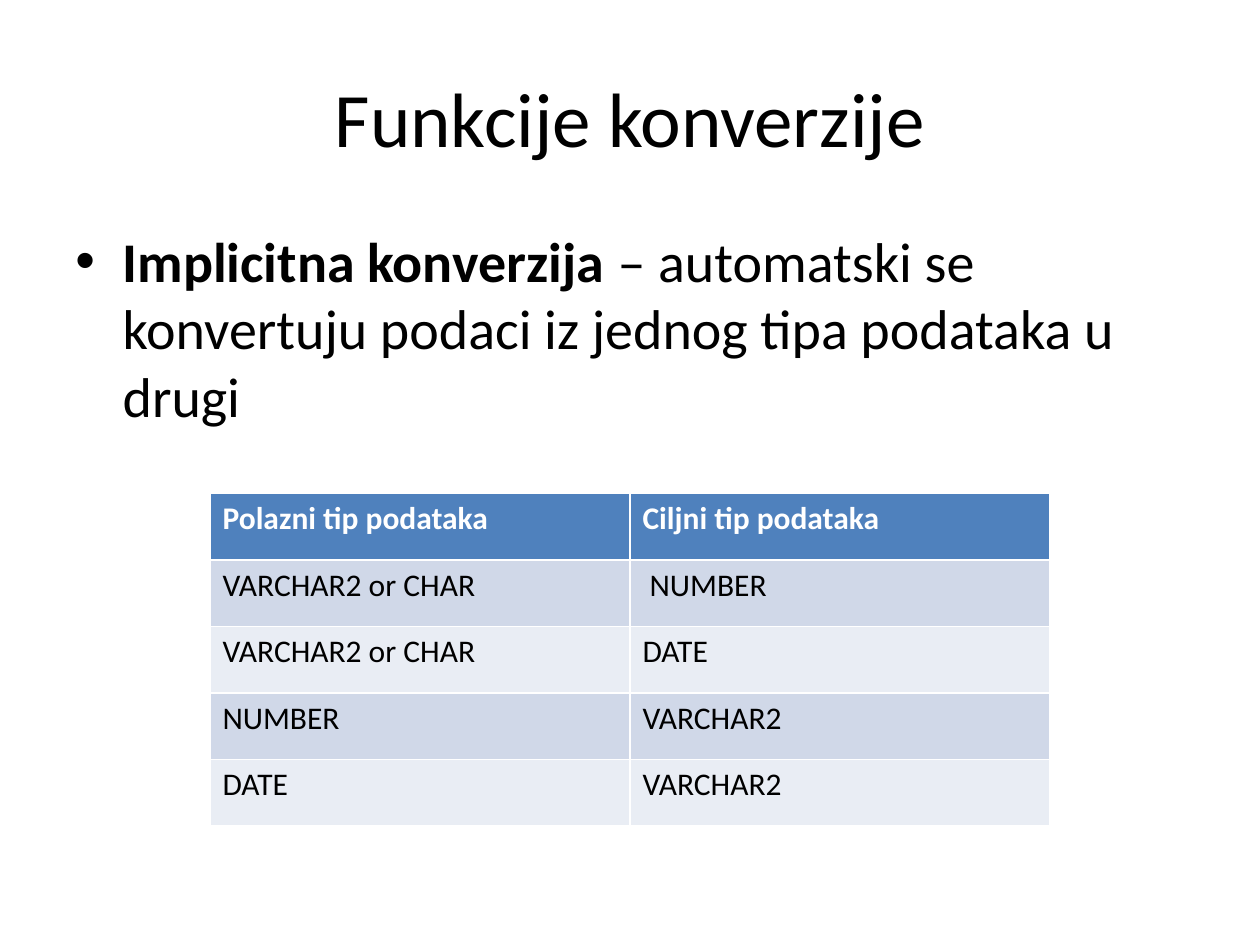
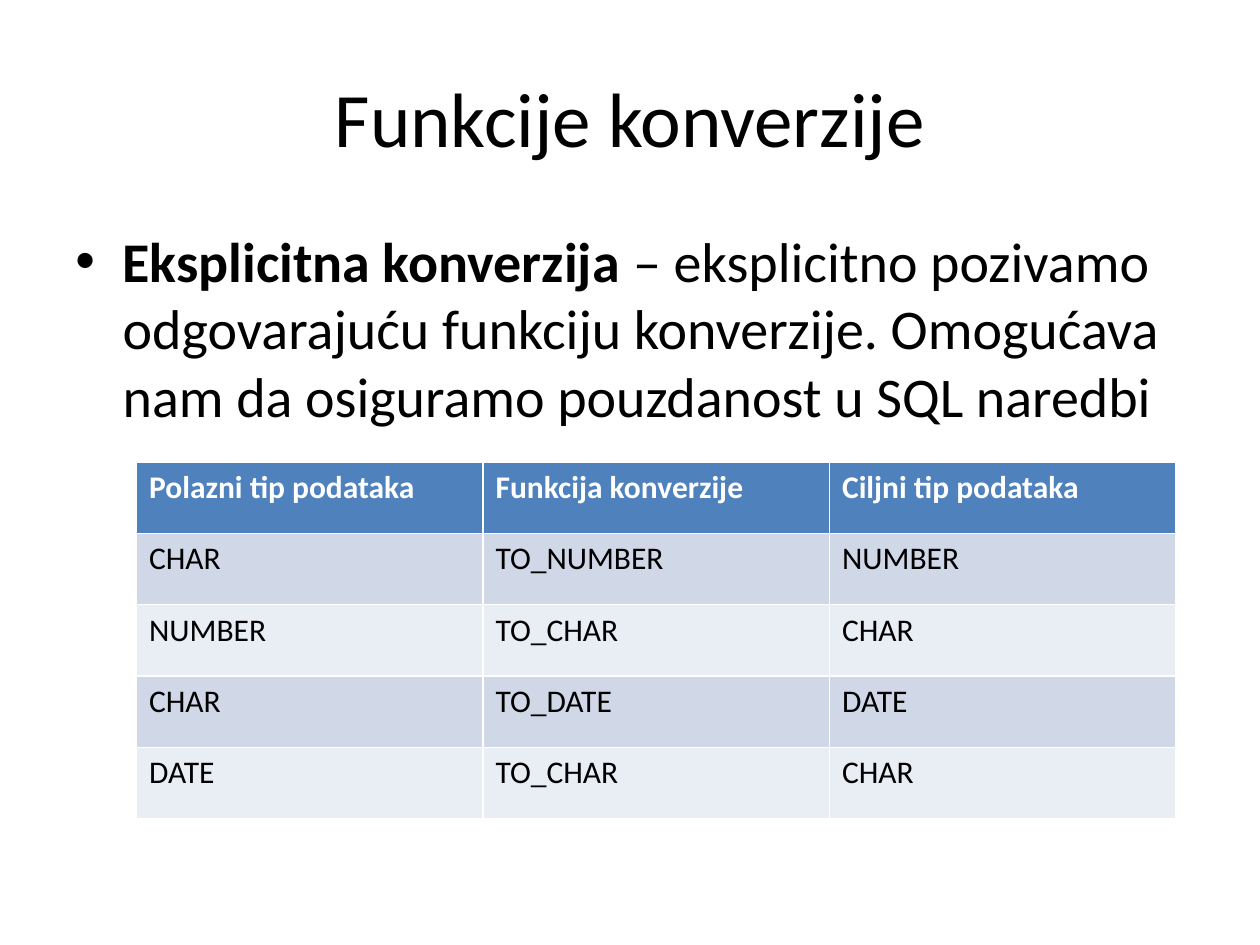
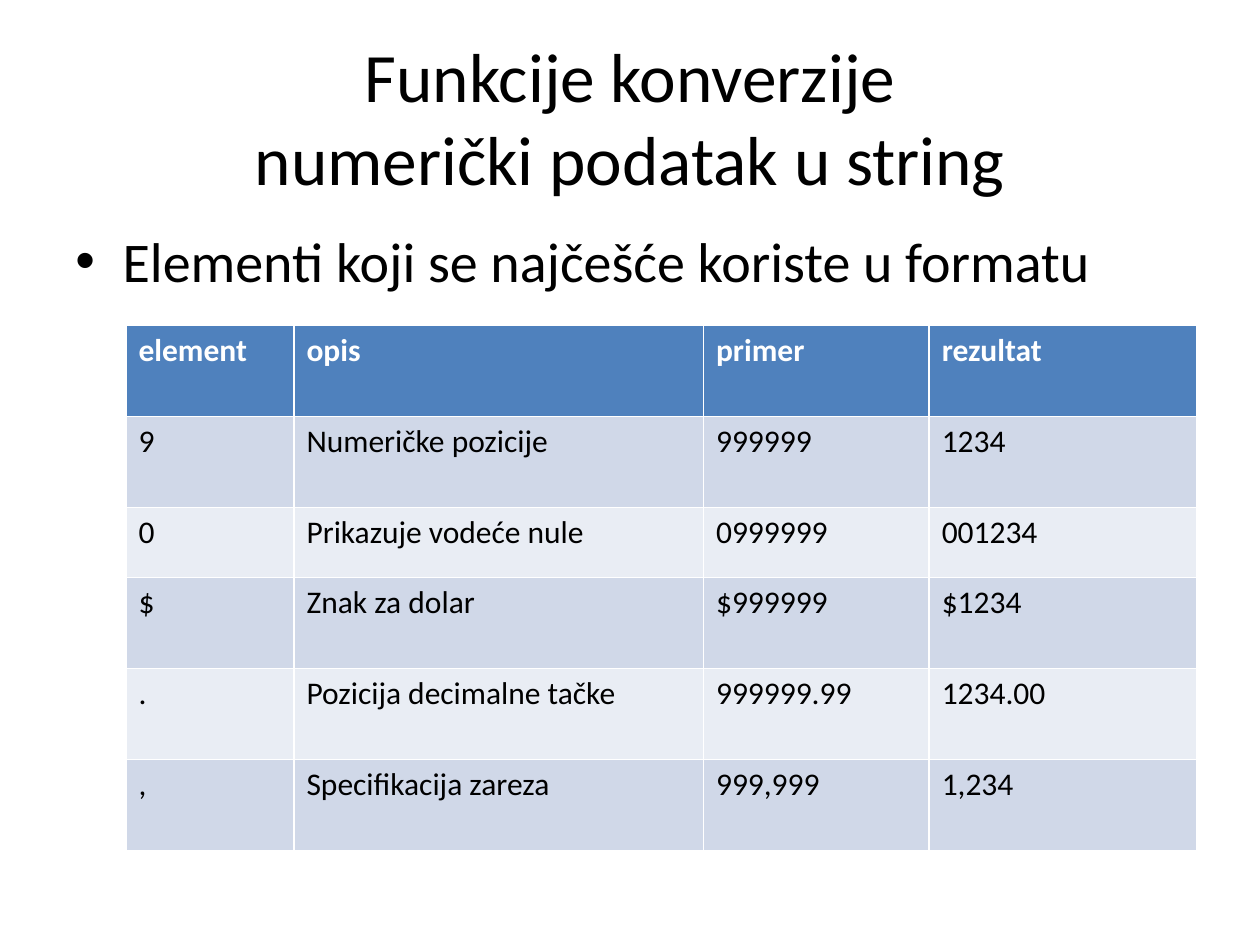
from lxml import etree
from pptx import Presentation
from pptx.dml.color import RGBColor
from pptx.enum import text
from pptx.oxml import ns
from pptx.util import Pt

COLORS = {"ink": "000000", "paper": "FFFFFF", "header": "4F81BD",
          "odd": "D0D8E8", "even": "E9EDF4"}
FONT = "Calibri"
TITLE_BOX = (36, 21.6, 648, 90)
BODY_BOX = (36, 126, 648, 356.4)
INDENT = 27


def rgb(name):
    return RGBColor.from_string(COLORS[name])


def style_run(r, size, color="ink", bold=False):
    r.font.name = FONT
    r.font.size = Pt(size)
    r.font.bold = bold
    r.font.color.rgb = rgb(color)


def add_title(s, box, title, size):
    sp = s.shapes.title
    sp.left, sp.top, sp.width, sp.height = map(Pt, box)
    tf = sp.text_frame
    tf.text = title
    tf.auto_size = text.MSO_AUTO_SIZE.NONE
    tf.vertical_anchor = text.MSO_ANCHOR.MIDDLE
    p = tf.paragraphs[0]
    p.alignment = text.PP_ALIGN.CENTER
    for r in p.runs:
        style_run(r, size)
    for br in p._p.findall(ns.qn("a:br")):
        etree.SubElement(br, ns.qn("a:rPr"), sz=str(round(size * 100)))


def add_bullet(s, box, term, explanation):
    tf = s.shapes.add_textbox(*map(Pt, box)).text_frame
    tf.word_wrap = True
    p = tf.paragraphs[0]
    p.space_before = Pt(6.4)
    pPr = p._p.get_or_add_pPr()
    pPr.set("marL", str(Pt(INDENT)))
    pPr.set("indent", str(-Pt(INDENT)))
    etree.SubElement(pPr, ns.qn("a:buFont"), typeface="Arial")
    etree.SubElement(pPr, ns.qn("a:buChar"), char="•")
    for words, bold in ((term, True), (explanation, False)):
        if words:
            r = p.add_run()
            r.text = words
            style_run(r, 32, bold=bold)


def add_type_table(s, left, top, widths, heights, rows):
    table = s.shapes.add_table(len(rows), len(widths), Pt(left), Pt(top),
                               Pt(sum(widths)), Pt(sum(heights))).table
    for column, width in zip(table.columns, widths):
        column.width = Pt(width)
    for i, (row, height, values) in enumerate(zip(table.rows, heights, rows)):
        row.height = Pt(height)
        fill = "header" if i == 0 else "odd" if i % 2 else "even"
        for cell, value in zip(row.cells, values):
            cell.fill.solid()
            cell.fill.fore_color.rgb = rgb(fill)
            cell.text = value
            style_run(cell.text_frame.paragraphs[0].runs[0], 18,
                      "ink" if i else "paper", i == 0)


def add_table_slide(prs, title, title_size, bullet, table):
    s = prs.slides.add_slide(prs.slide_layouts[5])
    add_title(s, TITLE_BOX, title, title_size)
    add_bullet(s, BODY_BOX, *bullet)
    add_type_table(s, *table)


def main():
    prs = Presentation()
    prs.slide_width, prs.slide_height = Pt(720), Pt(540)

    add_table_slide(
        prs, "Funkcije konverzije", 44,
        ("Implicitna konverzija ",
         "– automatski se konvertuju podaci iz jednog tipa podataka u drugi"),
        (120, 282, [240] * 2, [38] * 5, [
            ("Polazni tip podataka", "Ciljni tip podataka"),
            ("VARCHAR2 or CHAR", " NUMBER"),
            ("VARCHAR2 or CHAR", "DATE"),
            ("NUMBER", "VARCHAR2"),
            ("DATE", "VARCHAR2"),
        ]))

    add_table_slide(
        prs, "Funkcije konverzije", 44,
        ("Eksplicitna konverzija ",
         "– eksplicitno pozivamo odgovarajuću funkciju konverzije. "
         "Omogućava nam da osiguramo pouzdanost u SQL naredbi"),
        (78, 264, [198] * 3, [40.8] * 5, [
            ("Polazni tip podataka", "Funkcija konverzije", "Ciljni tip podataka"),
            ("CHAR", "TO_NUMBER", "NUMBER"),
            ("NUMBER", "TO_CHAR", "CHAR"),
            ("CHAR", "TO_DATE", "DATE"),
            ("DATE", "TO_CHAR", "CHAR"),
        ]))

    add_table_slide(
        prs, "Funkcije konverzije\vnumerički podatak u string", 39.6,
        ("", "Elementi koji se najčešće koriste u formatu"),
        (72, 186, [96, 234, 129, 153], [52, 52, 40, 52, 52, 52], [
            ("element", "opis", "primer", "rezultat"),
            ("9", "Numeričke pozicije", "999999", "1234"),
            ("0", "Prikazuje vodeće nule", "0999999", "001234"),
            ("$", "Znak za dolar", "$999999", "$1234"),
            (".", "Pozicija decimalne tačke", "999999.99", "1234.00"),
            (",", "Specifikacija zareza", "999,999", "1,234"),
        ]))

    prs.save("out.pptx")


if __name__ == "__main__":
    main()
